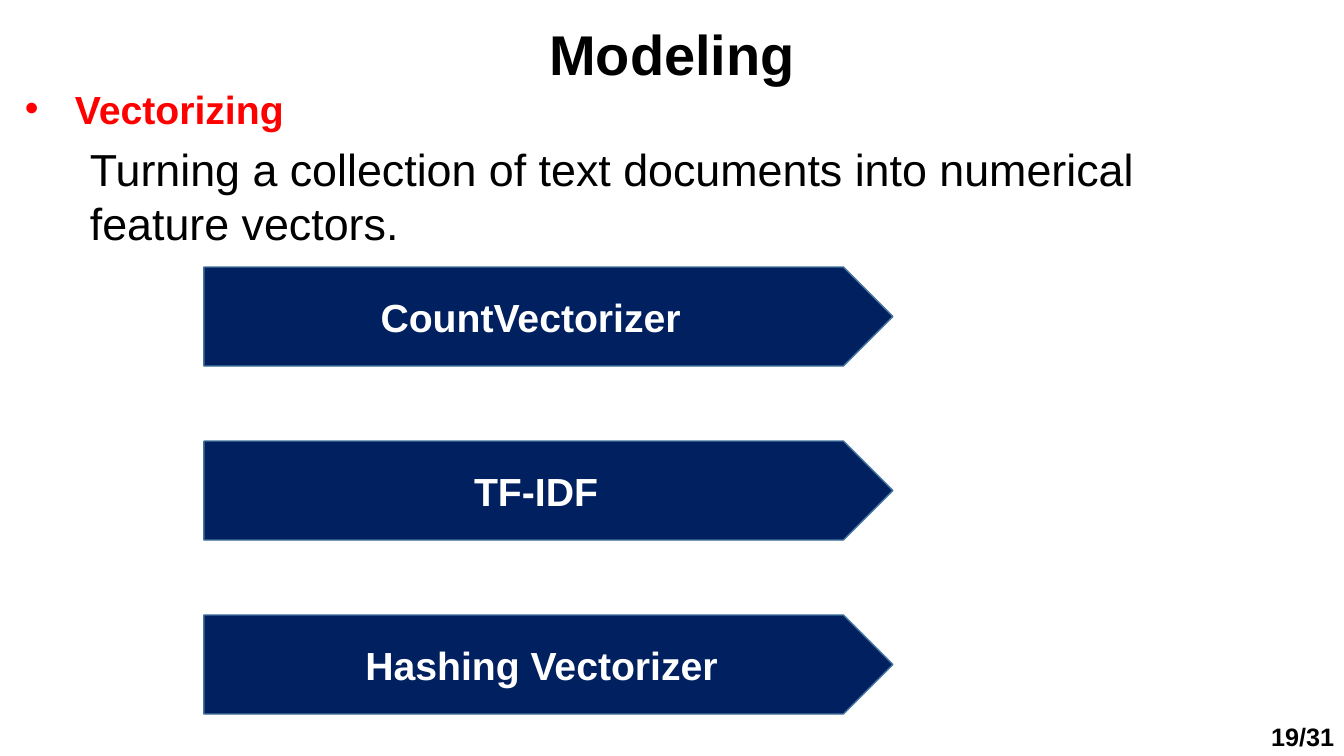
from lxml.etree import SubElement
from pptx import Presentation
from pptx.dml.color import RGBColor
from pptx.enum.shapes import MSO_SHAPE
from pptx.enum.text import MSO_ANCHOR, PP_ALIGN
from pptx.oxml.ns import qn
from pptx.util import Pt

EMU_PER_PX = 914400 / 100.8
COLOURS = {"black": "000000", "red": "FF0000", "white": "FFFFFF",
           "navy": "002060", "outline": "43739E"}


def px(length):
    return round(length * EMU_PER_PX)


def colour(name):
    return RGBColor.from_string(COLOURS[name])


def write(frame, text, size=28, ink="black", bold=True,
          align=PP_ALIGN.LEFT, anchor=MSO_ANCHOR.TOP, bullet_indent=0):
    frame.word_wrap = True
    frame.vertical_anchor = anchor
    para = frame.paragraphs[0]
    para.alignment = align
    if bullet_indent:
        properties = para._p.get_or_add_pPr()
        properties.set("marL", str(px(bullet_indent)))
        properties.set("indent", str(-px(bullet_indent)))
        SubElement(properties, qn("a:buFont"), typeface="Arial")
        SubElement(properties, qn("a:buChar"), char="•")
    span = para.add_run()
    span.text = text
    span.font.name = "Arial"
    span.font.size = Pt(size)
    span.font.bold = bold
    span.font.color.rgb = colour(ink)


class SlideBuilder:
    """Draws styled text and arrow banners on one slide, measured in px."""

    def __init__(self, deck):
        self.page = deck.slides.add_slide(deck.slide_layouts[6])

    def text(self, left, top, width, height, text, **style):
        box = self.page.shapes.add_textbox(px(left), px(top), px(width), px(height))
        write(box.text_frame, text, **style)

    def banner(self, left, top, width, height, text):
        shape = self.page.shapes.add_shape(
            MSO_SHAPE.PENTAGON, px(left), px(top), px(width), px(height))
        shape.shadow.inherit = False
        shape.fill.solid()
        shape.fill.fore_color.rgb = colour("navy")
        shape.line.color.rgb = colour("outline")
        shape.line.width = Pt(1)
        write(shape.text_frame, text, ink="white",
              align=PP_ALIGN.CENTER, anchor=MSO_ANCHOR.MIDDLE)


def main():
    deck = Presentation()
    deck.slide_width, deck.slide_height = px(1344), px(756)
    slide = SlideBuilder(deck)
    slide.text(0, 15, 1344, 78, "Modeling", size=40, align=PP_ALIGN.CENTER)
    slide.text(15, 80, 1258, 57, "Vectorizing", ink="red", bullet_indent=50)
    for row, method in enumerate(["CountVectorizer ", "TF-IDF", " Hashing Vectorizer"]):
        slide.banner(204, 267 + 174 * row, 689, 99, method)
    slide.text(80, 137, 1153, 119,
               "Turning a collection of text documents into numerical feature vectors.",
               size=32, bold=False)
    slide.text(1042, 716, 302, 40, "19/31", size=18,
               align=PP_ALIGN.RIGHT, anchor=MSO_ANCHOR.MIDDLE)
    deck.save("out.pptx")


if __name__ == "__main__":
    main()
